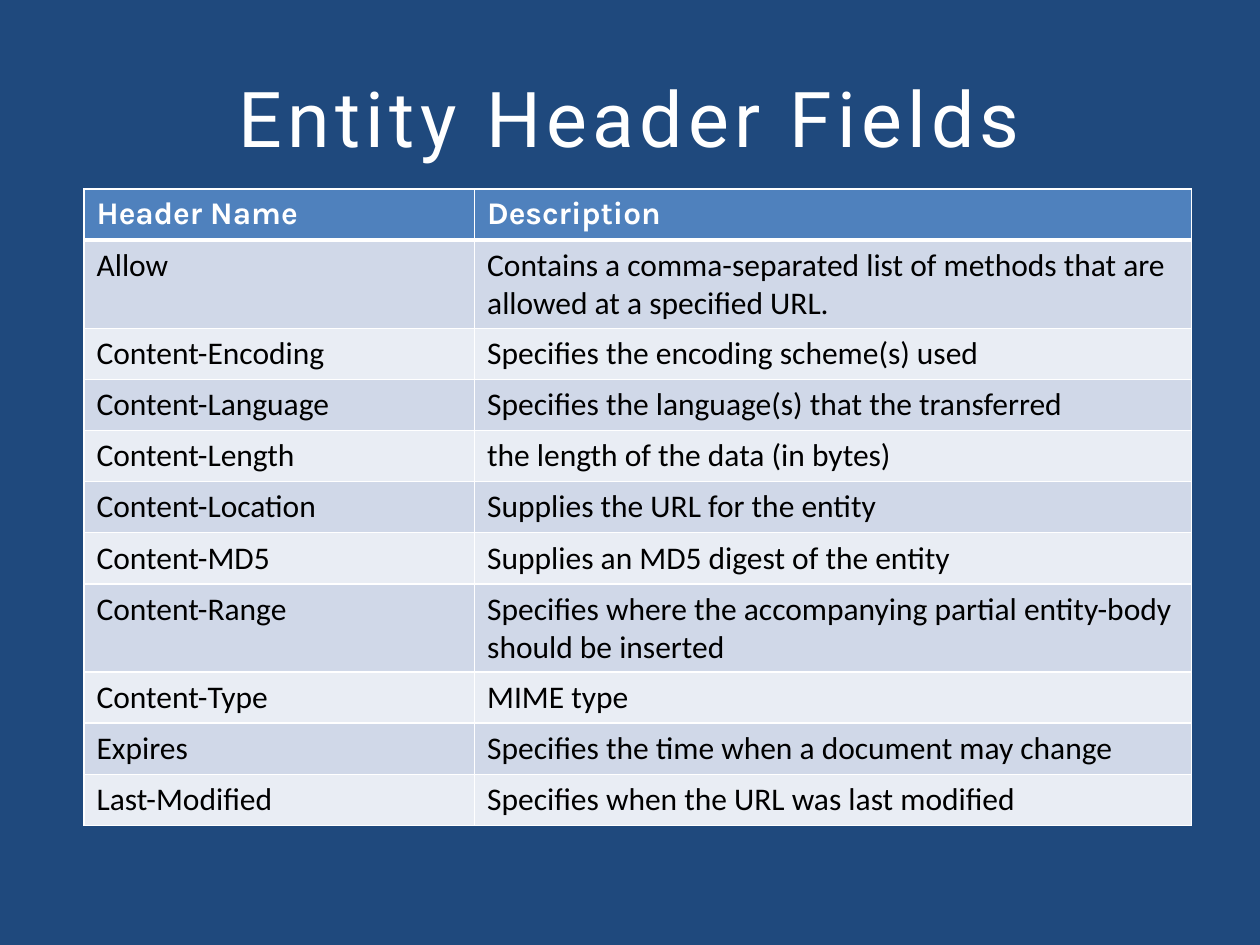
from lxml.etree import SubElement
from pptx import Presentation
from pptx.dml.color import RGBColor
from pptx.enum.text import MSO_ANCHOR as Anchor, PP_ALIGN as Align
from pptx.oxml.ns import qn
from pptx.util import Pt

NAVY = RGBColor(0x1F, 0x49, 0x7D)
BLUE = RGBColor(0x4F, 0x81, 0xBD)
BAND_DARK = RGBColor(0xD0, 0xD8, 0xE8)
BAND_LIGHT = RGBColor(0xE9, 0xED, 0xF4)
WHITE = RGBColor(0xFF, 0xFF, 0xFF)
BLACK = RGBColor(0, 0, 0)

TITLE_FORMAT = {"name": "Roboto", "size": Pt(44), "bold": False}
HEADING_FORMAT = {"name": "Karla", "size": Pt(18), "bold": True}
BODY_FORMAT = {"name": "Calibri", "size": Pt(18), "bold": False}

COLUMN_WIDTHS = (223.2, 409.68)
FIELDS = [
    ("Header Name", "Description"),
    ("Allow", "Contains a comma-separated list of methods that are allowed at a specified URL."),
    ("Content-Encoding", "Specifies the encoding scheme(s) used"),
    ("Content-Language", "Specifies the language(s) that the transferred"),
    ("Content-Length", "the length of the data (in bytes)"),
    ("Content-Location", "Supplies the URL for the entity"),
    ("Content-MD5", "Supplies an MD5 digest of the entity"),
    ("Content-Range", "Specifies where the accompanying partial entity-body should be inserted"),
    ("Content-Type", "MIME type"),
    ("Expires", "Specifies the time when a document may change"),
    ("Last-Modified", "Specifies when the URL was last modified"),
]


def write(paragraph, text, text_format, color):
    run = paragraph.add_run()
    run.text = text
    for attribute, value in text_format.items():
        setattr(run.font, attribute, value)
    run.font.color.rgb = color
    return run


def set_borders(cell, widths):
    properties = cell._tc.get_or_add_tcPr()
    for side, width in widths.items():
        border = SubElement(properties, qn(f"a:ln{side}"), w=str(Pt(width)))
        fill = SubElement(border, qn("a:solidFill"))
        SubElement(fill, qn("a:srgbClr"), val=str(WHITE))


def add_title(slide, left, top, width, height):
    frame = slide.shapes.add_textbox(Pt(left), Pt(top), Pt(width), Pt(height)).text_frame
    frame.word_wrap = True
    frame.vertical_anchor = Anchor.MIDDLE
    heading = frame.paragraphs[0]
    heading.alignment = Align.CENTER
    run = write(heading, "Entity Header Fields", TITLE_FORMAT, WHITE)
    run.font._element.set("spc", "300")


def add_field_table(slide, left, top, row_height):
    fields = slide.shapes.add_table(
        len(FIELDS), len(COLUMN_WIDTHS), Pt(left), Pt(top),
        Pt(sum(COLUMN_WIDTHS)), Pt(row_height * len(FIELDS))
    ).table
    for column, width in zip(fields.columns, COLUMN_WIDTHS):
        column.width = Pt(width)
    for index, (row, texts) in enumerate(zip(fields.rows, FIELDS)):
        row.height = Pt(row_height)
        is_heading = index == 0
        band = BLUE if is_heading else BAND_DARK if index % 2 else BAND_LIGHT
        text_format = HEADING_FORMAT if is_heading else BODY_FORMAT
        color = WHITE if is_heading else BLACK
        borders = {"L": 1, "R": 1, "T": 3 if index == 1 else 1, "B": 3 if is_heading else 1}
        for cell, text in zip(row.cells, texts):
            set_borders(cell, borders)
            cell.fill.solid()
            cell.fill.fore_color.rgb = band
            write(cell.text_frame.paragraphs[0], text, text_format, color)


def main():
    deck = Presentation()
    deck.slide_width, deck.slide_height = Pt(720), Pt(540)
    slide = deck.slides.add_slide(deck.slide_layouts[6])
    slide.background.fill.solid()
    slide.background.fill.fore_color.rgb = NAVY
    add_title(slide, 36, 21.6, 648, 90)
    add_field_table(slide, 48, 108, 29.2)
    deck.save("out.pptx")


if __name__ == "__main__":
    main()
